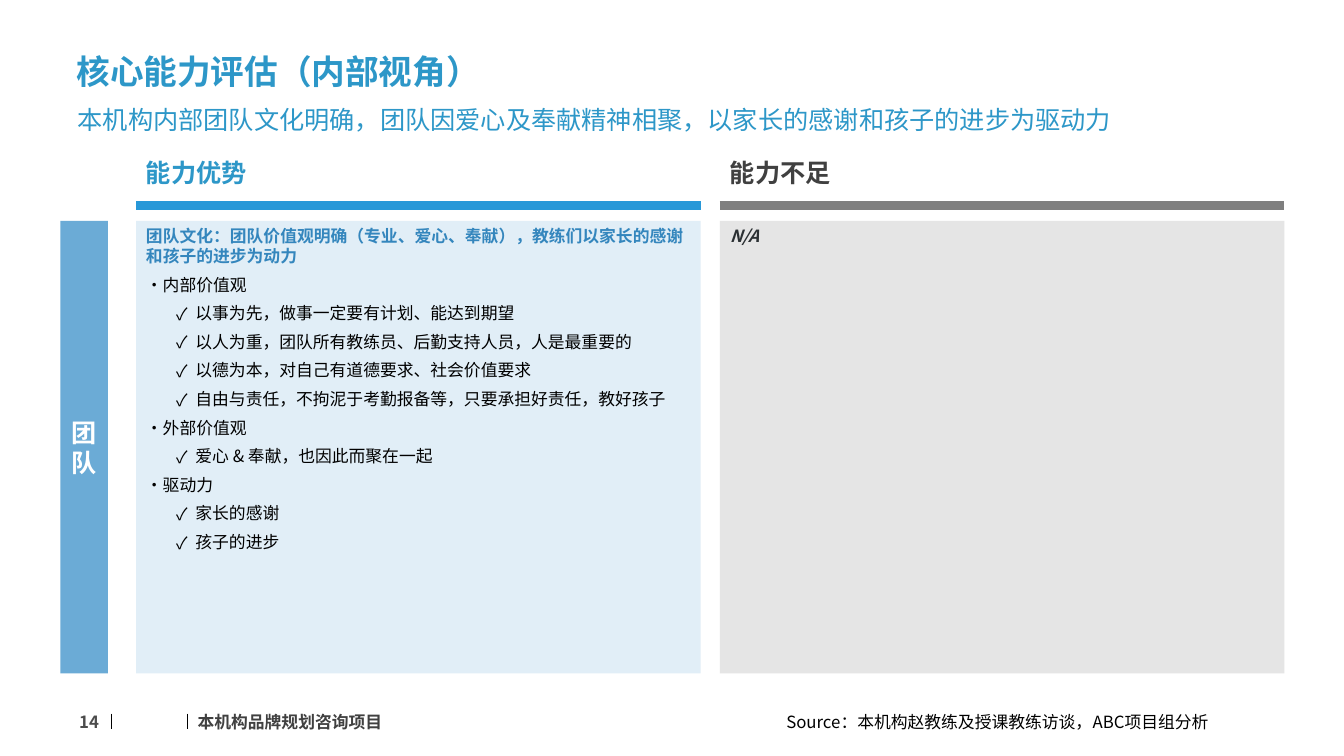
from dataclasses import dataclass
from typing import Optional

from lxml import etree
from pptx import Presentation
from pptx.dml.color import RGBColor
from pptx.enum.shapes import MSO_CONNECTOR, MSO_SHAPE
from pptx.enum.text import MSO_ANCHOR, PP_ALIGN
from pptx.oxml.ns import qn
from pptx.util import Emu, Pt

PX = 9144  # 100 px to the inch
FONT = "Noto Sans CJK SC"
STRAIGHT, RECT = MSO_CONNECTOR.STRAIGHT, MSO_SHAPE.RECTANGLE
TOP, MIDDLE = MSO_ANCHOR.TOP, MSO_ANCHOR.MIDDLE
LEFT, CENTER, RIGHT = PP_ALIGN.LEFT, PP_ALIGN.CENTER, PP_ALIGN.RIGHT
COLORS = {
    "heading": "2D97C8", "bar": "2898D8", "team": "6BABD6", "pale": "E1EEF7",
    "lead": "3486BD", "gray_bar": "7F7F7F", "gray_fill": "E5E5E5",
    "dark": "404040", "note": "2B3033", "black": "000000", "white": "FFFFFF",
}


@dataclass
class Para:
    text: str
    color: str = "black"
    size: int = 12
    bold: bool = False
    italic: bool = False
    align: PP_ALIGN = LEFT
    bullet: str = ""
    level: int = 0
    before: int = 0
    after: int = 0
    spacing: Optional[float] = None
    alpha: int = 100


@dataclass
class Column:
    x: int
    heading: str
    heading_color: str
    bar: str
    fill: str
    paras: list[Para]


def point(text: str) -> Para:
    return Para(text, bullet="•", after=6)


def check(text: str) -> Para:
    return Para(text, bullet="✓", level=1, after=6)


COLUMNS = [
    Column(135, "能力优势", "heading", "bar", "pale", [
        Para("团队文化：团队价值观明确（专业、爱心、奉献），教练们以家长的感谢和孩子的进步为动力",
             "lead", bold=True, after=6),
        point("内部价值观"),
        check("以事为先，做事一定要有计划、能达到期望"),
        check("以人为重，团队所有教练员、后勤支持人员，人是最重要的"),
        check("以德为本，对自己有道德要求、社会价值要求"),
        check("自由与责任，不拘泥于考勤报备等，只要承担好责任，教好孩子"),
        point("外部价值观"),
        check("爱心 & 奉献，也因此而聚在一起"),
        point("驱动力"),
        check("家长的感谢"),
        check("孩子的进步"),
    ]),
    Column(714, "能力不足", "dark", "gray_bar", "gray_fill",
           [Para("N/A", "note", bold=True, italic=True)]),
]
BULLET_INDENTS = [(16, -16), (49, -19)]
COLUMN_W, BODY_Y, BODY_H, BAR_Y = 560, 219, 449, 204


def px(n: int) -> Emu:
    return Emu(n * PX)


def rgb(name: str) -> RGBColor:
    return RGBColor.from_string(COLORS[name])


def add_para(p, para: Para) -> None:
    p.alignment, p.level = para.align, para.level
    p.space_before, p.space_after = Pt(para.before), Pt(para.after)
    if para.spacing:
        p.line_spacing = para.spacing
    if para.bullet:
        pPr = p._p.get_or_add_pPr()
        margin, indent = BULLET_INDENTS[para.level]
        pPr.set("marL", str(px(margin)))
        pPr.set("indent", str(px(indent)))
        etree.SubElement(pPr, qn("a:buFont")).set("typeface", FONT)
        etree.SubElement(pPr, qn("a:buChar")).set("char", para.bullet)
    r = p.add_run()
    r.text = para.text
    f = r.font
    f.size, f.bold, f.italic, f.name = Pt(para.size), para.bold, para.italic, FONT
    f.color.rgb = rgb(para.color)
    rPr = r._r.get_or_add_rPr()
    etree.SubElement(rPr, qn("a:ea")).set("typeface", FONT)
    if para.alpha < 100:
        color = rPr.find(f".//{qn('a:srgbClr')}")
        etree.SubElement(color, qn("a:alpha")).set("val", str(para.alpha * 1000))


def fill_text(sp, paras: list[Para], anchor: MSO_ANCHOR, inset: int) -> None:
    tf = sp.text_frame
    tf.word_wrap, tf.vertical_anchor = True, anchor
    tf.margin_left, tf.margin_right = px(inset), px(10)
    tf.margin_top = tf.margin_bottom = px(5)
    for i, para in enumerate(paras):
        add_para(tf.add_paragraph() if i else tf.paragraphs[0], para)


def add_text(s, x: int, y: int, w: int, h: int, text: str,
             anchor: MSO_ANCHOR = TOP, inset: int = 10, **fmt) -> None:
    sp = s.shapes.add_textbox(px(x), px(y), px(w), px(h))
    fill_text(sp, [Para(text, **fmt)], anchor, inset)


def add_panel(s, x: int, w: int, fill: str, paras: list[Para],
              anchor: MSO_ANCHOR = TOP) -> None:
    sp = s.shapes.add_shape(RECT, px(x), px(BODY_Y), px(w), px(BODY_H))
    sp.shadow.inherit = False
    sp.fill.solid()
    sp.fill.fore_color.rgb = rgb(fill)
    sp.line.fill.background()
    fill_text(sp, paras, anchor, 10)


def add_line(s, x1: int, y1: int, x2: int, y2: int, color: str, width: float) -> None:
    line = s.shapes.add_connector(STRAIGHT, px(x1), px(y1), px(x2), px(y2))
    line.line.color.rgb, line.line.width = rgb(color), Pt(width)
    etree.SubElement(line._element.spPr, qn("a:effectLst"))


def main() -> None:
    prs = Presentation()
    prs.slide_width, prs.slide_height = px(1333), px(750)
    s = prs.slides.add_slide(prs.slide_layouts[6])

    for x in (110, 186):
        add_line(s, x, 708, x, 723, "black", 0.5)
    add_text(s, 66, 48, 869, 50, "核心能力评估（内部视角）", anchor=MIDDLE,
             size=24, bold=True, color="heading", spacing=0.9)
    add_text(s, 77, 102, 1234, 44,
             "本机构内部团队文化明确，团队因爱心及奉献精神相聚，以家长的感谢和孩子的进步为驱动力",
             inset=0, size=18, color="heading", spacing=0.9)
    add_text(s, 54, 696, 54, 40, "14", anchor=MIDDLE, bold=True, align=RIGHT, alpha=70)
    add_text(s, 196, 694, 343, 44, "本机构品牌规划咨询项目", anchor=MIDDLE,
             inset=0, bold=True, color="dark")
    add_text(s, 770, 701, 475, 30, "Source：本机构赵教练及授课教练访谈，ABC项目组分析")

    add_panel(s, 60, 47, "team",
              [Para("团队", "white", 18, bold=True, align=CENTER)], MIDDLE)
    for col in COLUMNS:
        add_line(s, col.x, BAR_Y, col.x + COLUMN_W, BAR_Y, col.bar, 6)
        add_text(s, col.x, 151, 253, 40, col.heading,
                 size=18, bold=True, color=col.heading_color)
        add_panel(s, col.x, COLUMN_W, col.fill, col.paras)
    prs.save("out.pptx")


if __name__ == "__main__":
    main()
